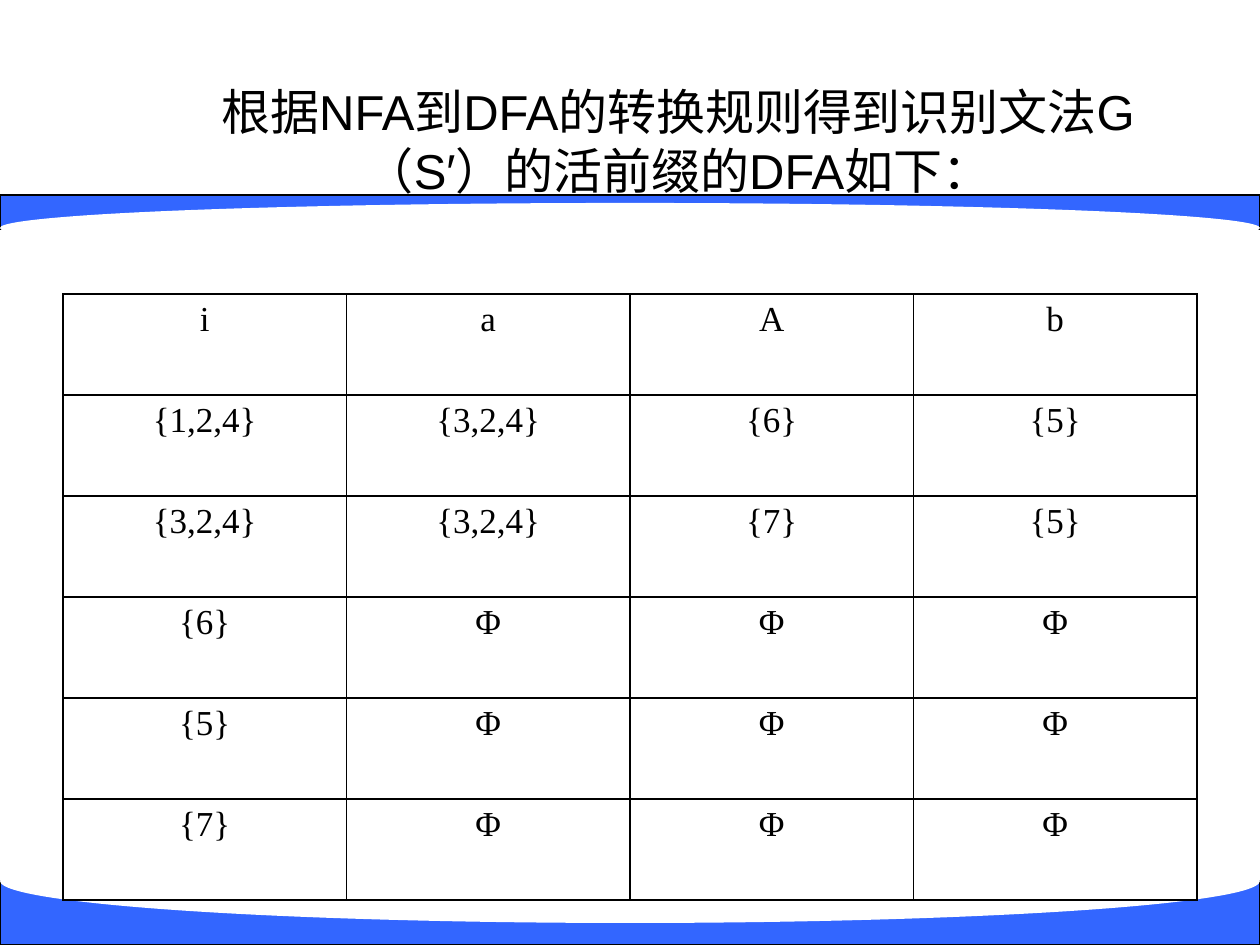
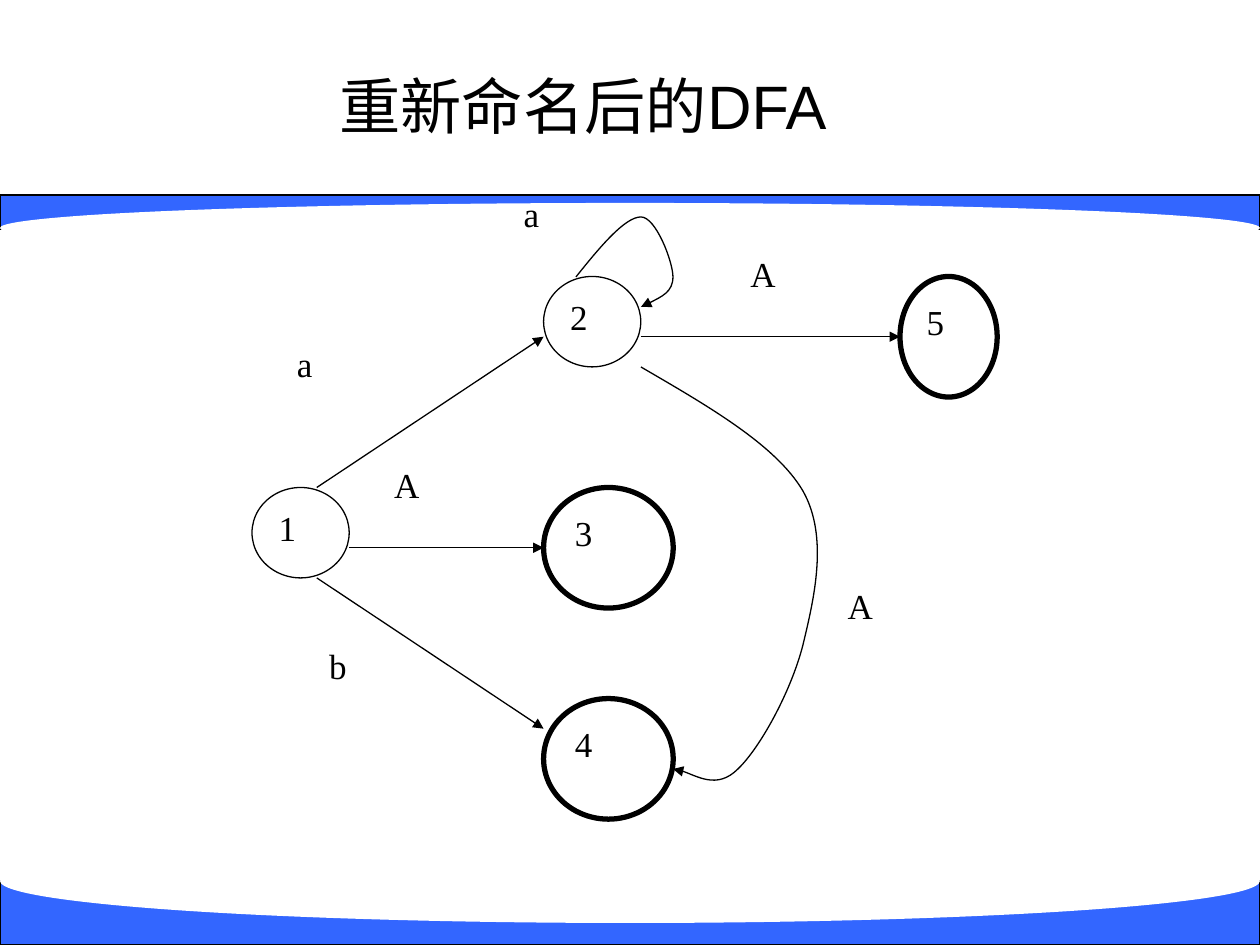
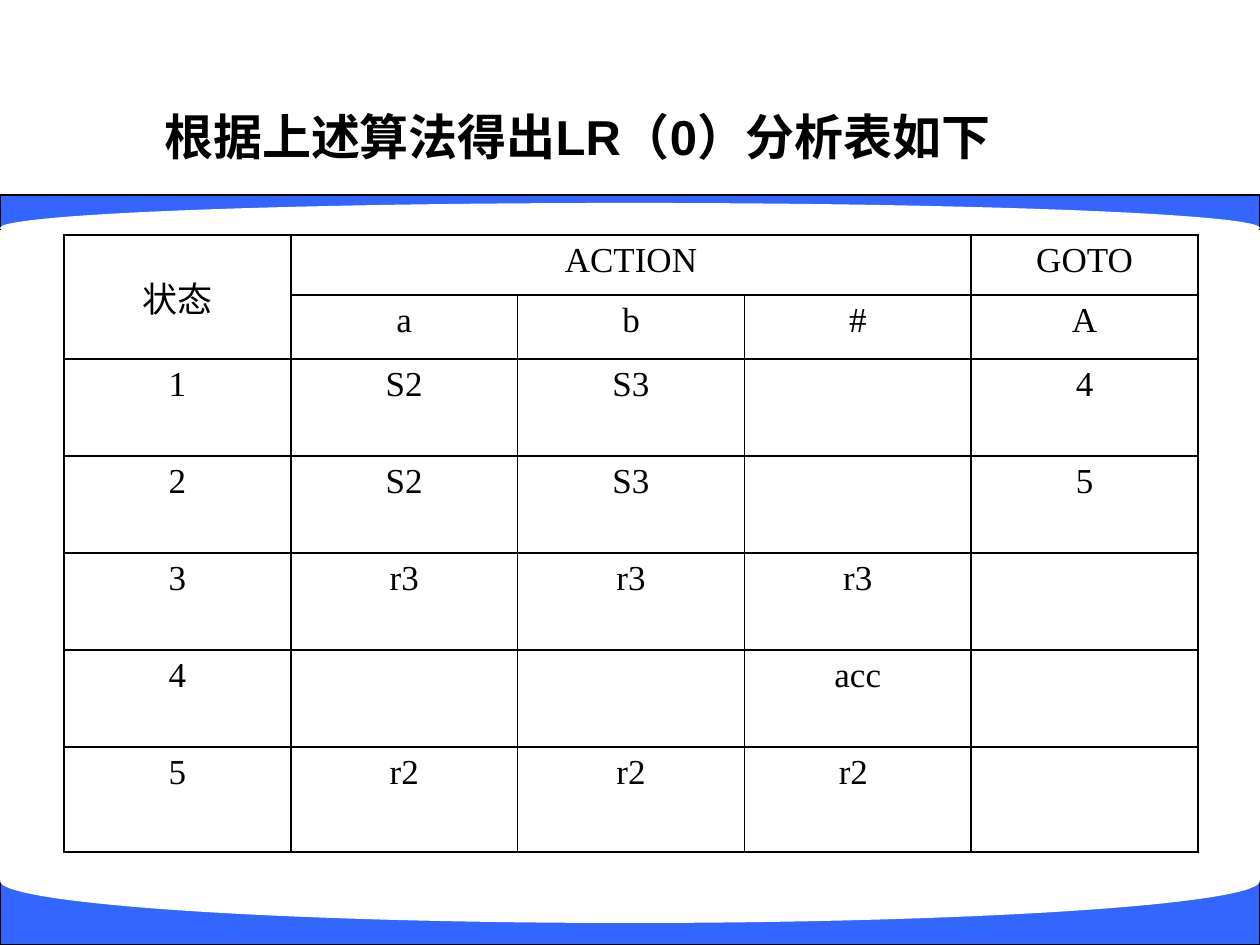
"""Build three slides that turn a grammar's DFA into an LR(0) table."""
import dataclasses

import lxml.etree
import pptx
import pptx.dml.color
import pptx.enum.lang
import pptx.enum.shapes
import pptx.enum.text
import pptx.oxml.ns
import pptx.util

SHAPE = pptx.enum.shapes.MSO_SHAPE
ALIGN = pptx.enum.text.PP_ALIGN
ANCHOR = pptx.enum.text.MSO_ANCHOR
qn = pptx.oxml.ns.qn


@dataclasses.dataclass(frozen=True)
class Theme:
    ink: str = "000000"
    paper: str = "FFFFFF"
    band: str = "3366FF"
    head: str = "Arial"
    body: str = "Times New Roman"
    title: int = 28
    large: int = 35
    text: int = 20
    thin: float = 0.75
    rule: int = 1
    thick: int = 3


THEME = Theme()
SCALE = 914400 / 126
WIDE, HIGH = 1260, 945

BANDS = [
    ((0, 195, WIDE, 34), (0, 203, WIDE, 50)),
    ((0, 881, WIDE, 64), (0, 839, WIDE, 84)),
]

MOVES = {
    "title": "根据NFA到DFA的转换规则得到识别文法G（S′）的活前缀的DFA如下：",
    "box": (158, 66, 1040, 149),
    "spot": (63, 294, 1134),
    "rows": [101] * 6,
    "cells": [
        ["i", "a", "A", "b"],
        ["{1,2,4}", "{3,2,4}", "{6}", "{5}"],
        ["{3,2,4}", "{3,2,4}", "{7}", "{5}"],
        ["{6}", "Φ", "Φ", "Φ"],
        ["{5}", "Φ", "Φ", "Φ"],
        ["{7}", "Φ", "Φ", "Φ"],
    ],
    "spans": [],
}

GRAPH = {
    "title": "重新命名后的DFA",
    "box": (63, 16, 1040, 179),
    "start": (252, 186),
    "step": (648 / 20, 603 / 20),
    "states": [
        ("1", (0, 10, 3, 3), THEME.thin),
        ("2", (9, 3, 3, 3), THEME.thin),
        ("3", (9, 10, 4, 4), THEME.thick),
        ("4", (9, 17, 4, 4), THEME.thick),
        ("5", (20, 3, 3, 4), THEME.thick),
    ],
    "edges": [
        ((3, 12), (9, 12)),
        ((2, 13), (9, 18)),
        ((2, 10), (9, 5)),
        ((12, 5), (20, 5)),
    ],
    "curves": [
        [(641, 367), (708, 406), (776, 445), (803, 491), (829, 537),
         (814, 599), (803, 645), (791, 692), (760, 748), (738, 769),
         (717, 790), (684, 769), (673, 769)],
        [(576, 277), (600, 247), (625, 217), (641, 217), (656, 217),
         (673, 262), (673, 277), (673, 292), (656, 300), (641, 307)],
    ],
    "labels": [
        ("A", (15, 2)), ("A", (4, 9)), ("A", (18, 13)),
        ("b", (2, 15)), ("a", (1, 5)), ("a", (8, 0)),
    ],
}

PARSER = {
    "title": "根据上述算法得出LR（0）分析表如下 ",
    "box": (63, 76, 1040, 119),
    "spot": (64, 235, 1134),
    "rows": [60, 64, 97, 97, 97, 97, 105],
    "cells": [
        ["状态", "ACTION", "", "", "GOTO"],
        ["", "a", "b", "#", "A"],
        ["1", "S2", "S3", "", "4"],
        ["2", "S2", "S3", "", "5"],
        ["3", "r3", "r3", "r3", ""],
        ["4", "", "", "acc", ""],
        ["5", "r2", "r2", "r2 ", ""],
    ],
    "spans": [((0, 0), (1, 0)), ((0, 1), (0, 3))],
}


def px(*sizes):
    return [pptx.util.Emu(round(size * SCALE)) for size in sizes]


def color(code):
    return pptx.dml.color.RGBColor.from_string(code)


def write(frame, text, size, face, align, bold=False):
    frame.text = text
    for para in frame.paragraphs:
        para.alignment = align
        for run in para.runs:
            run.font.size = pptx.util.Pt(size)
            run.font.name = face
            run.font.bold = bold
            run.font.color.rgb = color(THEME.ink)
            run.font.language_id = pptx.enum.lang.MSO_LANGUAGE_ID.SIMPLIFIED_CHINESE


def stroke(line, width):
    line.color.rgb = color(THEME.ink)
    line.width = pptx.util.Pt(width)


def add_form(slide, kind, box, fill, width=None):
    form = slide.shapes.add_shape(kind, *px(*box))
    form.shadow.inherit = False
    form.fill.solid()
    form.fill.fore_color.rgb = color(fill)
    if width:
        stroke(form.line, width)
    else:
        form.line.fill.background()
    return form


def add_text(slide, box, text, size, face, align, anchor, bold=False):
    frame = slide.shapes.add_textbox(*px(*box)).text_frame
    frame.word_wrap = True
    frame.vertical_anchor = anchor
    write(frame, text, size, face, align, bold)


def add_page(deck, data, size, bold=False):
    slide = deck.slides.add_slide(deck.slide_layouts[6])
    for bar, arc in BANDS:
        add_form(slide, SHAPE.RECTANGLE, bar, THEME.band, THEME.thin)
        add_form(slide, SHAPE.OVAL, arc, THEME.paper)
    add_text(slide, data["box"], data["title"], size, THEME.head,
             ALIGN.CENTER, ANCHOR.MIDDLE, bold)
    return slide


def frame_cell(cell):
    props = cell._tc.get_or_add_tcPr()
    for index, side in enumerate(("lnL", "lnR", "lnT", "lnB")):
        edge = lxml.etree.Element(qn("a:" + side), w=str(pptx.util.Pt(THEME.rule)))
        fill = lxml.etree.SubElement(edge, qn("a:solidFill"))
        lxml.etree.SubElement(fill, qn("a:srgbClr"), val=THEME.ink)
        props.insert(index, edge)


def add_grid(slide, data):
    left, top, width = data["spot"]
    rows, cells = data["rows"], data["cells"]
    count = len(cells[0])
    grid = slide.shapes.add_table(
        len(rows), count, *px(left, top, width, sum(rows))).table
    grid.first_row = grid.horz_banding = False
    for col in grid.columns:
        col.width = px(width / count)[0]
    for row, height in zip(grid.rows, rows):
        row.height = px(height)[0]
    for r, words in enumerate(cells):
        for c, word in enumerate(words):
            cell = grid.cell(r, c)
            cell.fill.background()
            write(cell.text_frame, word, THEME.text, THEME.body, ALIGN.CENTER)
            frame_cell(cell)
    for first, last in data["spans"]:
        grid.cell(*first).merge(grid.cell(*last))
        if last[0] > first[0]:
            grid.cell(*first).vertical_anchor = ANCHOR.MIDDLE


def add_head(form):
    stroke(form.line, THEME.thin)
    props = form._element.spPr
    lxml.etree.SubElement(props.find(qn("a:ln")), qn("a:tailEnd"), type="triangle")
    if props.find(qn("a:effectLst")) is None:
        lxml.etree.SubElement(props, qn("a:effectLst"))


def add_curve(slide, points):
    pen = slide.shapes.build_freeform(*points[0], scale=SCALE)
    pen.add_line_segments(points[1:], close=False)
    form = pen.convert_to_shape()
    form.shadow.inherit = False
    form.fill.background()
    parts = list(form._element.iter(qn("a:lnTo")))
    for start in range(0, len(parts), 3):
        bend = lxml.etree.Element(qn("a:cubicBezTo"))
        parts[start].addprevious(bend)
        for part in parts[start:start + 3]:
            bend.append(part[0])
            part.getparent().remove(part)
    add_head(form)


def add_graph(slide, data):
    left, top = data["start"]
    wide, high = data["step"]

    def place(col, row):
        return left + col * wide, top + row * high

    for name, (col, row, cols, rows), width in data["states"]:
        box = (*place(col, row), cols * wide, rows * high)
        frame = add_form(slide, SHAPE.OVAL, box, THEME.paper, width).text_frame
        frame.vertical_anchor = ANCHOR.TOP
        write(frame, name, THEME.text, THEME.body, ALIGN.JUSTIFY)
    for tail, tip in data["edges"]:
        add_head(slide.shapes.add_connector(
            pptx.enum.shapes.MSO_CONNECTOR.STRAIGHT,
            *px(*place(*tail), *place(*tip))))
    for points in data["curves"]:
        add_curve(slide, points)
    for name, spot in data["labels"]:
        add_text(slide, (*place(*spot), 3 * wide, 3 * high), name, THEME.text,
                 THEME.body, ALIGN.JUSTIFY, ANCHOR.TOP)


def main():
    deck = pptx.Presentation()
    deck.slide_width, deck.slide_height = px(WIDE, HIGH)
    add_grid(add_page(deck, MOVES, THEME.title), MOVES)
    add_graph(add_page(deck, GRAPH, THEME.large), GRAPH)
    add_grid(add_page(deck, PARSER, THEME.title, True), PARSER)
    deck.save("out.pptx")


if __name__ == "__main__":
    main()
